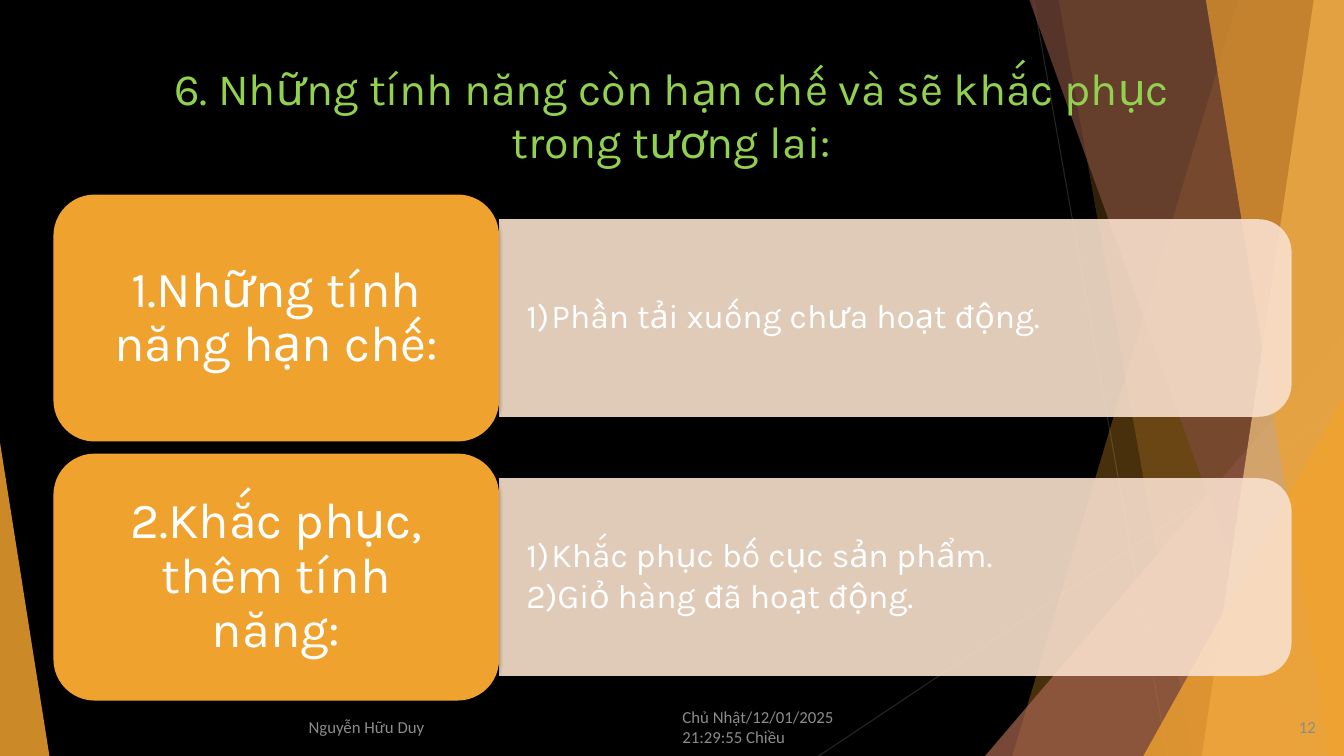
from dataclasses import dataclass
from typing import Any

from lxml import etree
from pptx import Presentation
from pptx.dml.color import RGBColor
from pptx.enum.shapes import MSO_CONNECTOR, MSO_SHAPE
from pptx.enum.text import MSO_ANCHOR, PP_ALIGN
from pptx.oxml.ns import qn
from pptx.util import Inches, Pt

STRAIGHT = MSO_CONNECTOR.STRAIGHT
TRIANGLE = MSO_SHAPE.ISOSCELES_TRIANGLE
ROUNDED = MSO_SHAPE.ROUNDED_RECTANGLE
TOP_ROUNDED = MSO_SHAPE.ROUND_2_SAME_RECTANGLE
TOP, MIDDLE = MSO_ANCHOR.TOP, MSO_ANCHOR.MIDDLE
LEFT, CENTER, RIGHT = PP_ALIGN.LEFT, PP_ALIGN.CENTER, PP_ALIGN.RIGHT

BLACK = RGBColor(0x00, 0x00, 0x00)
WHITE = RGBColor(0xFF, 0xFF, 0xFF)
ORANGE = RGBColor(0xF0, 0xA2, 0x2E)
PALE_ORANGE = RGBColor(0xF6, 0xC7, 0x82)
CREAM = RGBColor(0xF9, 0xE0, 0xCD)
RUST = RGBColor(0xA5, 0x64, 0x4E)
BROWN = RGBColor(0x7C, 0x4B, 0x3B)
GREEN = RGBColor(0x92, 0xD0, 0x50)
GRAY = RGBColor(0x8C, 0x8C, 0x8C)
DARK_GRAY = RGBColor(0x26, 0x26, 0x26)

WIDTH, HEIGHT = 13.33, 7.5


@dataclass(frozen=True)
class Box:
    left: float
    top: float
    width: float
    height: float

    def lengths(self) -> list[int]:
        return [Inches(v) for v in (self.left, self.top, self.width, self.height)]


@dataclass(frozen=True)
class Shard:
    """Band from a slanted left edge to the right side of the slide."""
    top_x: float
    bottom_x: float
    color: RGBColor
    opacity: int


@dataclass(frozen=True)
class Corner:
    """Right triangle standing on the bottom edge."""
    box: Box
    apex: float
    color: RGBColor
    opacity: int


@dataclass(frozen=True)
class Topic:
    label: str
    points: tuple[str, ...]


@dataclass(frozen=True)
class TextStyle:
    font: dict[str, Any]
    color: RGBColor
    paragraph: dict[str, Any]
    frame: dict[str, Any]


def insets(across: float, down: float) -> dict[str, int]:
    return {"margin_left": Inches(across), "margin_right": Inches(across),
            "margin_top": Inches(down), "margin_bottom": Inches(down)}


def footer_style(alignment: PP_ALIGN) -> TextStyle:
    return TextStyle({"name": "Calibri", "size": Pt(12)}, GRAY,
                     {"alignment": alignment}, {"vertical_anchor": MIDDLE})


TITLE_STYLE = TextStyle({"name": "Karla", "size": Pt(32)}, GREEN,
                        {"alignment": CENTER}, {"vertical_anchor": TOP})
LABEL_STYLE = TextStyle({"name": "Karla", "size": Pt(36)}, WHITE,
                        {"alignment": CENTER, "line_spacing": 0.9},
                        {"vertical_anchor": MIDDLE, **insets(0.27, 0.19)})
POINT_STYLE = TextStyle({"name": "Karla", "size": Pt(24)}, WHITE,
                        {"alignment": LEFT, "line_spacing": 0.9, "space_after": Pt(3.6)},
                        {"vertical_anchor": MIDDLE, **insets(0.27, 0.14)})

RAYS = [(10.25, 0, 11.58, HEIGHT), (WIDTH, 4.03, 8.12, HEIGHT)]
DECORATION = [
    Shard(12.28, 10.04, ORANGE, 30),
    Shard(10.5, 11.83, ORANGE, 20),
    Corner(Box(9.77, 3.33, 3.56, 4.17), 1, RUST, 72),
    Shard(10.21, 12.91, BROWN, 70),
    Shard(13.03, 11.92, PALE_ORANGE, 70),
    Shard(11.96, 13.18, ORANGE, 65),
    Corner(Box(11.34, 3.93, 1.99, 3.57), 1, ORANGE, 80),
    Corner(Box(0, 4.39, 0.49, 3.11), 0, ORANGE, 85),
]
TITLE = "6. Những tính năng còn hạn chế và sẽ khắc phục trong tương lai:"
TOPICS = [
    Topic("1.Những tính năng hạn chế:", ("Phần tải xuống chưa hoạt động.",)),
    Topic("2.Khắc phục, thêm tính năng:",
          ("Khắc phục bố cục sản phẩm.", "Giỏ hàng đã hoạt động.")),
]
FOOTERS = [
    ("Chủ Nhật/12/01/2025 21:29:55 Chiều", Box(6.67, 7.01, 2.15, 0.4), LEFT),
    ("Nguyễn Hữu Duy", Box(0.19, 7.01, 6.89, 0.4), CENTER),
    ("12", Box(12.4, 7.01, 0.75, 0.4), RIGHT),
]
LABEL_WIDTH, LABEL_HEIGHT = 4.42, 2.45
PANEL_WIDTH, PANEL_HEIGHT = 7.86, 1.96
ROWS_LEFT, ROWS_TOP, ROW_PITCH = 0.53, 1.93, 2.57


def apply(target: Any, values: dict[str, Any]) -> None:
    for attribute, value in values.items():
        setattr(target, attribute, value)


def paint(shape: Any, color: RGBColor, opacity: int = 100) -> None:
    shape.fill.solid()
    shape.fill.fore_color.rgb = color
    shape.line.fill.background()
    shape.shadow.inherit = False
    if opacity < 100:
        rgb = shape.fill._xPr.find(".//" + qn("a:srgbClr"))
        etree.SubElement(rgb, qn("a:alpha"), val=str(opacity * 1000))


def write(frame: Any, lines: tuple[str, ...], style: TextStyle) -> None:
    apply(frame, {"word_wrap": True, **style.frame})
    for index, line in enumerate(lines):
        paragraph = frame.add_paragraph() if index else frame.paragraphs[0]
        apply(paragraph, style.paragraph)
        run = paragraph.add_run()
        run.text = line
        apply(run.font, style.font)
        run.font.color.rgb = style.color


def add_text(shapes: Any, box: Box, lines: tuple[str, ...], style: TextStyle) -> Any:
    frame = shapes.add_textbox(*box.lengths()).text_frame
    write(frame, lines, style)
    return frame


def add_ray(shapes: Any, ends: tuple[float, ...]) -> None:
    ray = shapes.add_connector(STRAIGHT, *[Inches(v) for v in ends])
    ray.line.color.rgb = DARK_GRAY
    ray.line.width = Pt(0.75)
    etree.SubElement(ray._element.spPr, qn("a:effectLst"))


def add_decoration(shapes: Any, part: Shard | Corner) -> None:
    if isinstance(part, Shard):
        builder = shapes.build_freeform(Inches(part.top_x), 0)
        corners = [(WIDTH, 0), (WIDTH, HEIGHT), (part.bottom_x, HEIGHT)]
        builder.add_line_segments([(Inches(x), Inches(y)) for x, y in corners])
        shape = builder.convert_to_shape()
    else:
        shape = shapes.add_shape(TRIANGLE, *part.box.lengths())
        shape.adjustments[0] = part.apex
    paint(shape, part.color, part.opacity)


def add_topic(shapes: Any, topic: Topic, top: float) -> None:
    # Panel, turned so that its rounded end faces right
    panel_left = ROWS_LEFT + LABEL_WIDTH
    middle_x, middle_y = panel_left + PANEL_WIDTH / 2, top + LABEL_HEIGHT / 2
    upright = Box(middle_x - PANEL_HEIGHT / 2, middle_y - PANEL_WIDTH / 2,
                  PANEL_HEIGHT, PANEL_WIDTH)
    panel = shapes.add_shape(TOP_ROUNDED, *upright.lengths())
    panel.rotation = 90
    paint(panel, CREAM, 90)

    # Numbered points
    points = add_text(shapes, Box(panel_left, top + 0.34, 7.76, 1.77),
                      topic.points, POINT_STYLE)
    for paragraph in points.paragraphs:
        properties = paragraph._p.get_or_add_pPr()
        properties.set("marL", str(Inches(0.25)))
        properties.set("indent", str(-Inches(0.25)))
        etree.SubElement(properties, qn("a:buAutoNum"), type="arabicParenR")

    # Label with a soft shadow
    label = shapes.add_shape(ROUNDED, *Box(ROWS_LEFT, top, LABEL_WIDTH, LABEL_HEIGHT).lengths())
    paint(label, ORANGE)
    effects = label._element.spPr.find(qn("a:effectLst"))
    shadow = etree.SubElement(effects, qn("a:outerShdw"), blurRad=str(Pt(3)),
                              dist=str(Pt(2)), dir="5400000", rotWithShape="0")
    shade = etree.SubElement(shadow, qn("a:srgbClr"), val=str(BLACK))
    etree.SubElement(shade, qn("a:alpha"), val="35000")
    write(label.text_frame, (topic.label,), LABEL_STYLE)


def main() -> None:
    deck = Presentation()
    apply(deck, {"slide_width": Inches(WIDTH), "slide_height": Inches(HEIGHT)})
    slide = deck.slides.add_slide(deck.slide_layouts[6])
    slide.background.fill.solid()
    slide.background.fill.fore_color.rgb = BLACK
    shapes = slide.shapes

    for ends in RAYS:
        add_ray(shapes, ends)
    for part in DECORATION:
        add_decoration(shapes, part)
    add_text(shapes, Box(1.12, 0.55, 11.08, 1.93), (TITLE,), TITLE_STYLE)
    for row, topic in enumerate(TOPICS):
        add_topic(shapes, topic, ROWS_TOP + row * ROW_PITCH)
    for text, box, alignment in FOOTERS:
        add_text(shapes, box, (text,), footer_style(alignment))
    deck.save("out.pptx")


if __name__ == "__main__":
    main()
